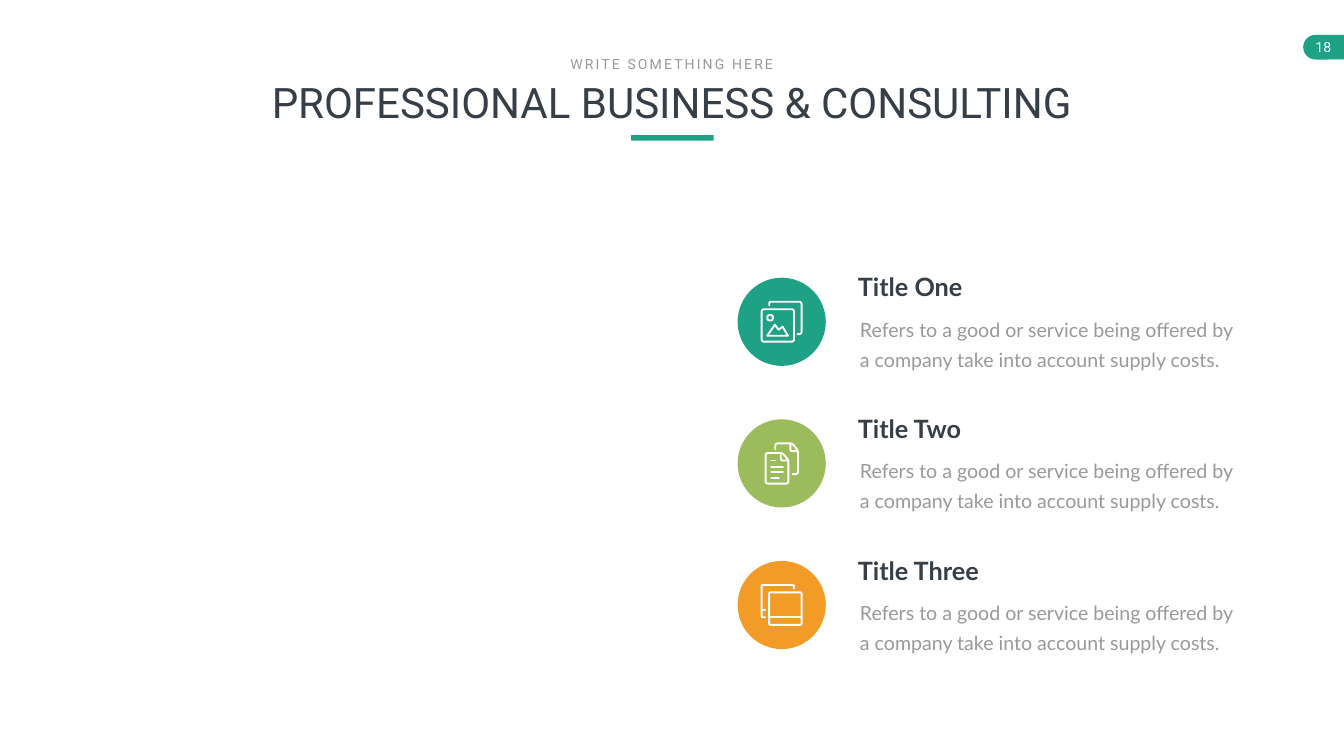
from dataclasses import dataclass
from math import dist

from lxml import etree
from pptx import Presentation
from pptx.dml.color import RGBColor
from pptx.enum import shapes, text
from pptx.oxml import ns
from pptx.util import Pt

TEAL, LIME, AMBER = "1EA185", "9BBB5C", "F29B26"
DARK, GREY, WHITE = "363E48", "999999", "FFFFFF"
WIDE, HIGH = 1919.52, 1080
LEFT, TOP, PITCH, DISC = 1053.4, 396.7, 202.3, 126
ICON, STROKE = 33, 2.7
BODY = ("Refers to a good or service being offered by "
        "a company take into account supply costs.")
KIND = shapes.MSO_SHAPE


@dataclass
class Trace:
    """One contour of an icon; each corner is rounded by bend."""
    pts: list
    bend: float = 0
    shut: bool = False


@dataclass
class Item:
    title: str
    fill: str
    icon: list


def color(code: str) -> RGBColor:
    return RGBColor.from_string(code)


def bar(at: tuple, fill: str, kind=KIND.RECTANGLE, turn: float = 0):
    shape = slide.shapes.add_shape(kind, *map(Pt, at))
    shape.shadow.inherit = False
    shape.fill.solid()
    shape.fill.fore_color.rgb = color(fill)
    shape.line.fill.background()
    shape.rotation = turn


def label(words: str, at: tuple, look: dict, tint: str, pad: tuple = (7.2, 3.6),
          align=text.PP_ALIGN.LEFT, wrap: bool = True, lead: float = 0,
          track: int = 0):
    frame = slide.shapes.add_textbox(*map(Pt, at)).text_frame
    form = {"word_wrap": wrap, "margin_left": Pt(pad[0]), "margin_right": Pt(pad[0]),
            "margin_top": Pt(pad[1]), "margin_bottom": Pt(pad[1])}
    for key, val in form.items():
        setattr(frame, key, val)
    para = frame.paragraphs[0]
    para.alignment = align
    if lead:
        para.line_spacing = Pt(lead)
    run = para.add_run()
    run.text = words
    for key, val in look.items():
        setattr(run.font, key, val)
    run.font.color.rgb = color(tint)
    if track:
        run._r.get_or_add_rPr().set("spc", str(track * 100))


def between(a: tuple, b: tuple, part: float) -> tuple:
    return tuple(p + (q - p) * part for p, q in zip(a, b))


def curve(trace: Trace) -> list:
    """Replace each inner corner by a short run of points along an arc."""
    pts, out = trace.pts, []
    for i, mid in enumerate(pts):
        end = i in (0, len(pts) - 1) and not trace.shut
        if end or not trace.bend:
            out.append(mid)
            continue
        prev, after = pts[i - 1], pts[(i + 1) % len(pts)]
        a = between(mid, prev, min(0.5, trace.bend / dist(mid, prev)))
        b = between(mid, after, min(0.5, trace.bend / dist(mid, after)))
        for step in range(7):
            t = step / 6
            out.append(between(between(a, mid, t), between(mid, b, t), t))
    return out


def draw(icon: list, left: float, top: float):
    pen = None
    for trace in icon:
        pts = [(Pt(left + x), Pt(top + y)) for x, y in curve(trace)]
        if pen is None:
            pen = slide.shapes.build_freeform(*pts[0], scale=1.0)
        else:
            pen.move_to(*pts[0])
        pen.add_line_segments(pts[1:], close=trace.shut)
    shape = pen.convert_to_shape()
    shape.shadow.inherit = False
    shape.fill.background()
    shape.line.color.rgb = color(WHITE)
    shape.line.width = Pt(STROKE)
    edge = shape.line._get_or_add_ln()
    edge.set("cap", "rnd")
    etree.SubElement(edge, ns.qn("a:round"))


def box(x: float, y: float, size: float, bend: float) -> Trace:
    far, low = x + size, y + size
    return Trace([(x, y), (far, y), (far, low), (x, low)], bend, True)


def rule(x: float, y: float, far: float) -> Trace:
    return Trace([(x, y), (far, y)])


# Icons, on a 60 pt grid
photo = [
    box(1.35, 12.15, 46.3, 4),
    Trace([(12.2, 6.5), (12.2, 1.35), (58.4, 1.35), (58.4, 47.6), (52.6, 47.6)], 4),
    Trace([(9.4, 50), (20.2, 34.2), (25.6, 41.4), (31.3, 37.1), (39, 50)], 0, True),
    box(9.5, 20.3, 8, 4),
]
pages = [
    Trace([(7.1, 15.1), (31, 15.1), (39.6, 25.2), (39.6, 59), (7.1, 59)], 4, True),
    Trace([(28.8, 15.1), (28.8, 25.9), (39.6, 25.9)], 3),
    Trace([(20.9, 10.1), (20.9, 1.35), (45, 1.35), (53.3, 11.5), (53.3, 45.4),
           (45.4, 45.4)], 4),
    Trace([(42.5, 1.35), (42.5, 12.6), (53.3, 12.6)], 3),
    *(rule(15.1, y, far) for y, far in
      ((25.9, 20.9), (34.6, 31.7), (42.5, 31.7), (50.4, 25.9))),
]
cards = [
    box(12.2, 12, 46.3, 2),
    rule(12.2, 47.5, 58.5),
    Trace([(6.5, 47.5), (1.35, 47.5), (1.35, 1.35), (47.5, 1.35), (47.5, 6.5)], 2),
    rule(1.35, 36.7, 6.5),
]
items = [Item("Title One", TEAL, photo), Item("Title Two", LIME, pages),
         Item("Title Three", AMBER, cards)]

deck = Presentation()
deck.slide_width, deck.slide_height = Pt(WIDE), Pt(HIGH)
slide = deck.slides.add_slide(deck.slide_layouts[6])
mid = text.PP_ALIGN.CENTER
small = {"name": "Roboto", "size": Pt(20)}

# Page number
bar((1861.2, 49.7, 35.3, 35.3), TEAL, KIND.FLOWCHART_DELAY, 180)
bar((1896.5, 49.7, 23, 35.3), TEAL)
label("18", (1862.6, 48.2, 55, 39), small, WHITE, (14.4, 7.2), mid, False)

# Heading
label("PROFESSIONAL BUSINESS & CONSULTING", (303.8, 105.8, 1311.8, 80),
      {"name": "Roboto", "size": Pt(60)}, DARK, align=mid)
label("WRITE SOMETHING HERE", (802.8, 75.6, 313.2, 31.7), small, GREY,
      align=mid, wrap=False, track=3)
bar((901.4, 193, 118, 7.9), TEAL)

# Items
for i, item in enumerate(items):
    top = TOP + i * PITCH
    bar((LEFT, top, DISC, DISC), item.fill, KIND.OVAL)
    draw(item.icon, LEFT + ICON, top + ICON)
    label(item.title, (1218.2, top - 12, 285.8, 51),
          {"name": "Lato", "size": Pt(36), "bold": True}, DARK)
    label(BODY, (1211, top + 39, 569.6, 99.4), {"name": "Lato", "size": Pt(28)},
          GREY, (17.3, 8.6), lead=43)

deck.save("out.pptx")
